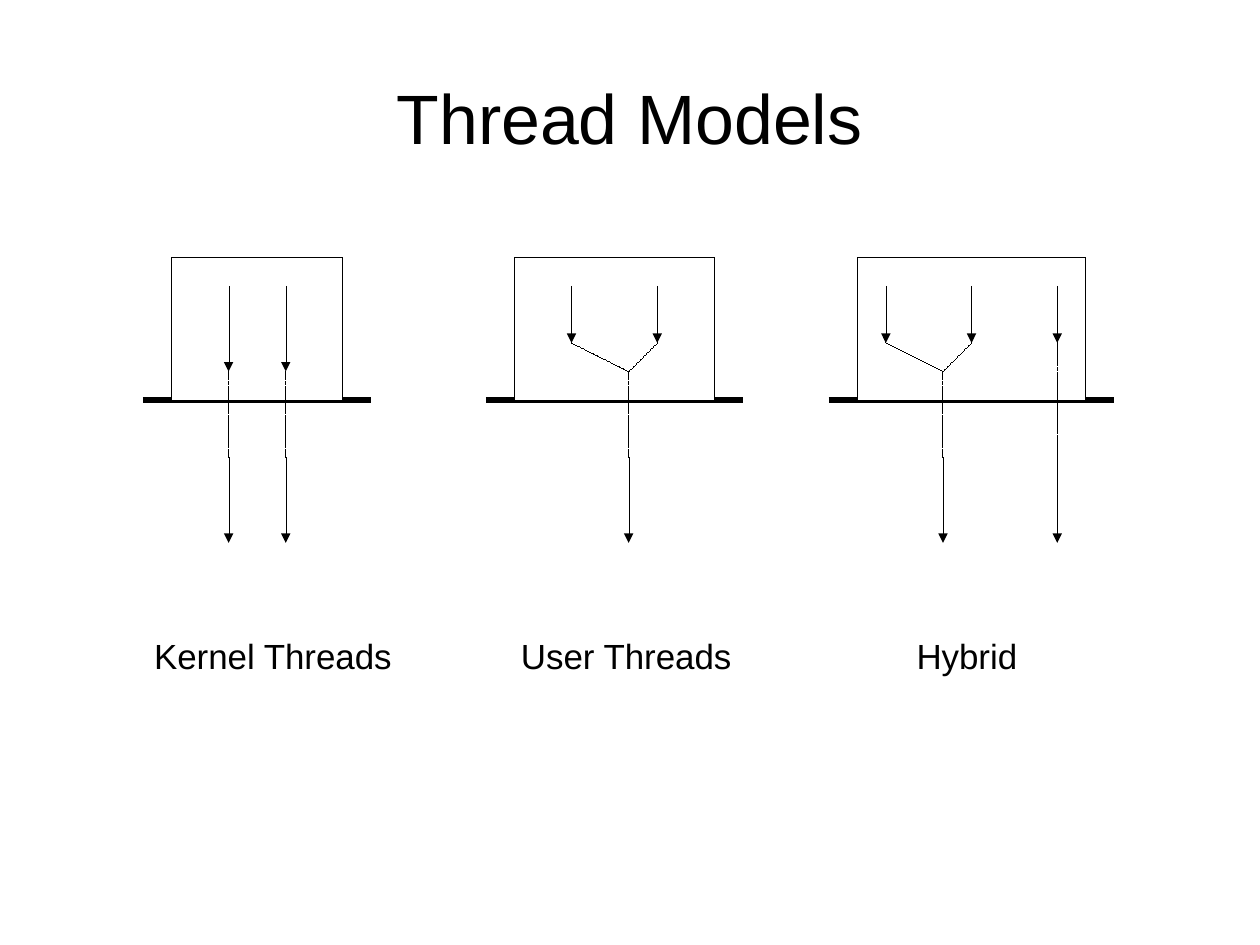
from pptx import Presentation
from pptx.dml.color import RGBColor
from pptx.enum.dml import MSO_LINE
from pptx.enum.shapes import MSO_CONNECTOR as LINK, MSO_SHAPE as SHAPE
from pptx.enum.text import MSO_ANCHOR as ANCHOR, PP_ALIGN as ALIGN
from pptx.oxml.ns import qn
from pptx.util import Inches, Pt
from lxml.etree import SubElement

BLACK, WHITE = "000000", "FFFFFF"
CM = 1 / 2.54
TOP, HIGH = 2.25, 1.25
START, JOIN, CROSS, END = 2.5, 3.25, 4, 4.75
LABEL = 5.5


def color(code):
    """Turn a hex string into a colour."""
    return RGBColor.from_string(code)


def pen(shape, width):
    """Give a shape a black line and return its line element."""
    shape.line.color.rgb = color(BLACK)
    edge = shape._element.spPr.find(qn("a:ln"))
    edge.set("w", str(Pt(width)))  # a hairline needs an explicit zero
    return edge


def line(slide, start, end, width=0, dash=False, arrow=False):
    """Draw a straight line, dashed or with an arrowhead if asked."""
    link = slide.shapes.add_connector(
        LINK.STRAIGHT, *[Inches(n) for n in (*start, *end)])
    edge = pen(link, width)
    if dash:
        link.line.dash_style = MSO_LINE.SQUARE_DOT
    if arrow:
        SubElement(edge, qn("a:tailEnd"), type="triangle")
    SubElement(link._element.spPr, qn("a:effectLst"))


def text(slide, box, words, size, pad=(0.1, 0.05), wrap=True,
         align=ALIGN.LEFT, anchor=ANCHOR.TOP):
    """Place one line of text in a box."""
    frame = slide.shapes.add_textbox(*[Inches(n) for n in box]).text_frame
    frame.word_wrap = wrap
    frame.vertical_anchor = anchor
    frame.margin_left = frame.margin_right = Inches(pad[0])
    frame.margin_top = frame.margin_bottom = Inches(pad[1])
    para = frame.paragraphs[0]
    para.text, para.alignment = words, align
    para.font.name, para.font.size = "Arial", Pt(size)
    para.font.color.rgb = color(BLACK)


def house(slide, box):
    """Draw a process box standing on the thick kernel border."""
    left, top, width, high = box
    floor = top + high
    line(slide, (left - 0.25, floor), (left + width + 0.25, floor), 3.6)
    rect = slide.shapes.add_shape(SHAPE.RECTANGLE, *[Inches(n) for n in box])
    rect.shadow.inherit = False
    rect.fill.solid()
    rect.fill.fore_color.rgb = color(WHITE)
    pen(rect, 0)


def thread(slide, left, foot, heads, stop):
    """Lead user threads at heads into one kernel thread at foot."""
    base = left + foot
    for head in heads:
        tip = (left + head, stop)
        line(slide, (left + head, START), tip, arrow=True)
        if head != foot:
            line(slide, tip, (base, JOIN), dash=True)
    turn = stop if foot in heads else JOIN
    line(slide, (base, turn), (base, CROSS), dash=True)
    line(slide, (base, CROSS), (base, END), arrow=True)


def model(slide, left, width, threads, label, spot, wrap=False):
    """Draw one thread model: its box, its threads and its label."""
    house(slide, (left, TOP, width, HIGH))
    for foot, heads, stop in threads:
        thread(slide, left, foot, heads, stop)
    text(slide, (spot[0], LABEL, spot[1], 0.44), label, 22, wrap=wrap)


def main():
    """Build the slide and save it."""
    deck = Presentation()
    deck.slide_width, deck.slide_height = Inches(28 * CM), Inches(21 * CM)
    slide = deck.slides.add_slide(deck.slide_layouts[6])
    text(slide, (0.55, 0.33, 9.92, 1.38), "Thread Models", 44, pad=(0, 0),
         align=ALIGN.CENTER, anchor=ANCHOR.MIDDLE)
    # Each thread: kernel offset, user offsets, end of the user arrows
    model(slide, 1.5, 1.5, [(0.5, [0.5], 3.25), (1, [1], 3.25)],
          "Kernel Threads", (1.25, 2.5), wrap=True)
    model(slide, 4.5, 1.75, [(1, [0.5, 1.25], 3)],
          "User Threads", (4.46, 2.04))
    model(slide, 7.5, 2, [(0.75, [0.25, 1], 3), (1.75, [1.75], 3)],
          "Hybrid", (7.92, 1.08))
    deck.save("out.pptx")


main()
